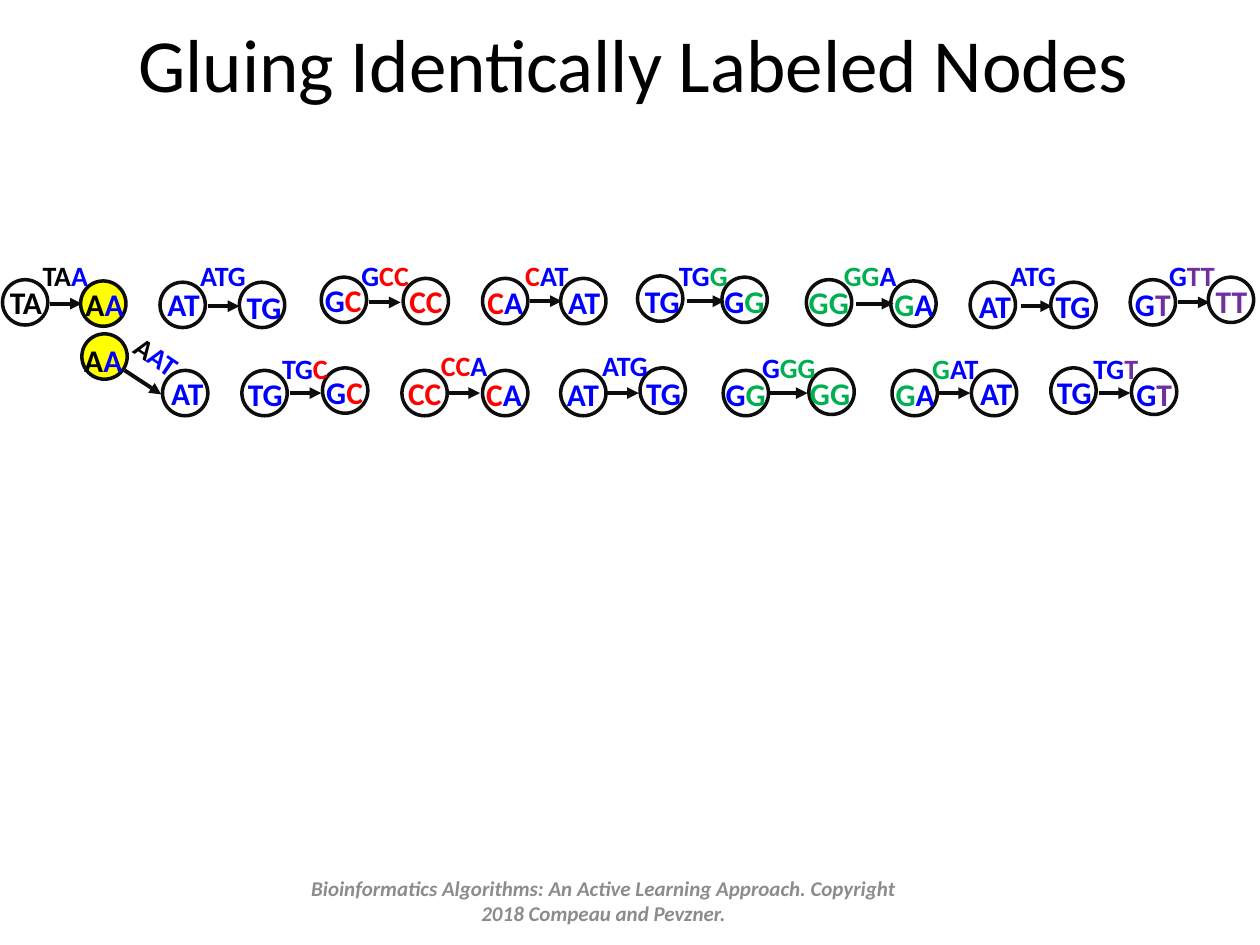
from lxml import etree
from pptx import Presentation
from pptx import util as u
from pptx.dml.color import RGBColor
from pptx.enum import shapes, text
from pptx.oxml import ns

BLACK = RGBColor(0x00, 0x00, 0x00)
INK = RGBColor(0x0D, 0x0D, 0x0D)
GREY = RGBColor(0x8C, 0x8C, 0x8C)
YELLOW = RGBColor(0xFF, 0xFF, 0x00)
HUES = {
    "k": BLACK,
    "b": RGBColor(0x00, 0x00, 0xFF),
    "r": RGBColor(0xFF, 0x00, 0x00),
    "g": RGBColor(0x00, 0xB0, 0x50),
    "p": RGBColor(0x70, 0x30, 0xA0),
}

# Letter widths in inches at node size, used to size the text boxes
LETTER_WIDTH = {"A": 0.155, "C": 0.135, "G": 0.16, "T": 0.125}
NODE_SIZE, LABEL_SIZE = 18, 16
DIAMETER = 0.36

# letters, hue of each letter, label, first circle and text,
# second circle and text, arrow start, arrow end
EDGES = [
    # Upper row
    ("TAA", "kkb", (0.24, 2), (0.02, 2.22), (-0.02, 2.2),
     (0.64, 2.23), (0.58, 2.21), (0.4, 2.41), (0.65, 2.41)),
    ("ATG", "bbb", (1.49, 2), (1.27, 2.24), (1.23, 2.21),
     (1.9, 2.24), (1.86, 2.24), (1.65, 2.43), (1.9, 2.43)),
    ("GCC", "brr", (2.77, 2), (2.55, 2.2), (2.48, 2.18),
     (3.2, 2.21), (3.15, 2.19), (2.93, 2.4), (3.18, 2.4)),
    ("CAT", "rbb", (4.07, 2), (3.83, 2.21), (3.77, 2.2),
     (4.45, 2.21), (4.41, 2.2), (4.21, 2.39), (4.46, 2.39)),
    ("TGG", "bbg", (5.29, 2), (5.06, 2.19), (5.02, 2.19),
     (5.73, 2.2), (5.65, 2.19), (5.45, 2.39), (5.75, 2.39)),
    ("GGA", "ggb", (6.6, 2), (6.4, 2.22), (6.32, 2.2),
     (7.07, 2.23), (7, 2.21), (6.79, 2.41), (7.09, 2.41)),
    ("ATG", "bbb", (7.92, 2), (7.7, 2.24), (7.67, 2.23),
     (8.34, 2.24), (8.28, 2.23), (8.1, 2.43), (8.35, 2.43)),
    ("GTT", "bpp", (9.18, 2), (8.97, 2.22), (8.91, 2.21),
     (9.59, 2.2), (9.55, 2.19), (9.35, 2.4), (9.6, 2.4)),
    # Lower row
    ("AAT", "kbb", (0.96, 2.65), (0.65, 2.65), (0.57, 2.66),
     (1.29, 2.94), (1.26, 2.92), (0.99, 2.94), (1.28, 3.13)),
    ("TGC", "bbr", (2.14, 2.74), (1.92, 2.94), (1.87, 2.93),
     (2.56, 2.92), (2.49, 2.91), (2.3, 3.12), (2.55, 3.12)),
    ("CCA", "rrb", (3.4, 2.72), (3.19, 2.94), (3.14, 2.92),
     (3.83, 2.94), (3.76, 2.93), (3.56, 3.12), (3.81, 3.12)),
    ("ATG", "bbb", (4.68, 2.72), (4.45, 2.94), (4.4, 2.93),
     (5.08, 2.92), (5.03, 2.92), (4.82, 3.12), (5.07, 3.12)),
    ("GGG", "bgg", (5.95, 2.73), (5.74, 2.94), (5.66, 2.93),
     (6.42, 2.93), (6.33, 2.92), (6.11, 3.12), (6.41, 3.12)),
    ("GAT", "gbb", (7.3, 2.74), (7.08, 2.94), (7.01, 2.93),
     (7.71, 2.94), (7.68, 2.92), (7.45, 3.12), (7.7, 3.12)),
    ("TGT", "bbp", (8.58, 2.74), (8.34, 2.92), (8.29, 2.91),
     (8.98, 2.93), (8.92, 2.93), (8.72, 3.12), (8.97, 3.12)),
]


class Painter:
    font_name = "Calibri"

    def __init__(self, page):
        self.page = page

    def style(self, font, size, color, bold=False, italic=False):
        font.name, font.size = self.font_name, u.Pt(size)
        font.bold, font.italic = bold, italic
        font.color.rgb = color

    def heading(self, words, place, size, color, **emphasis):
        box = self.page.shapes.add_textbox(*map(u.Inches, place))
        frame = box.text_frame
        frame.word_wrap = True
        frame.vertical_anchor = text.MSO_ANCHOR.MIDDLE
        frame.text = words
        para = frame.paragraphs[0]
        para.alignment = text.PP_ALIGN.CENTER
        self.style(para.runs[0].font, size, color, **emphasis)

    def letters(self, letters, hues, corner, size, angle=0):
        width = 0.2 + sum(LETTER_WIDTH[c] for c in letters) * size / NODE_SIZE
        height = 0.4 if size == NODE_SIZE else 0.37
        box = self.page.shapes.add_textbox(
            *map(u.Inches, (*corner, width, height)))
        box.rotation = angle
        frame = box.text_frame
        frame.word_wrap = False
        frame.auto_size = text.MSO_AUTO_SIZE.SHAPE_TO_FIT_TEXT
        para = frame.paragraphs[0]
        # One run for each stretch of equal hue
        for hue in dict.fromkeys(hues):
            span = para.add_run()
            span.text = "".join(c for c, h in zip(letters, hues) if h == hue)
            self.style(span.font, size, HUES[hue], bold=True)

    def node(self, letters, hues, corner, text_corner):
        circle = self.page.shapes.add_shape(
            shapes.MSO_SHAPE.OVAL,
            *map(u.Inches, (*corner, DIAMETER, DIAMETER)))
        circle.shadow.inherit = False
        circle.line.color.rgb = INK
        circle.line.width = u.Pt(2)
        if letters == "AA":
            circle.fill.solid()
            circle.fill.fore_color.rgb = YELLOW
        else:
            circle.fill.background()
        self.letters(letters, hues, text_corner, NODE_SIZE)

    def arrow(self, start, end):
        line = self.page.shapes.add_connector(
            shapes.MSO_CONNECTOR.STRAIGHT, *map(u.Inches, (*start, *end)))
        line.line.color.rgb = INK
        line.line.width = u.Pt(2.25)
        outline = line.line._get_or_add_ln()
        etree.SubElement(outline, ns.qn("a:tailEnd"), type="triangle")
        etree.SubElement(line._element.spPr, ns.qn("a:effectLst"))


def main():
    deck = Presentation()
    deck.slide_width, deck.slide_height = u.Inches(10), u.Inches(7.5)
    painter = Painter(deck.slides.add_slide(deck.slide_layouts[6]))

    # Edges: the nodes are the first two and last two letters of the label
    for (letters, hues, label, circle_1, text_1,
         circle_2, text_2, start, end) in EDGES:
        painter.arrow(start, end)
        painter.node(letters[:2], hues[:2], circle_1, text_1)
        painter.node(letters[1:], hues[1:], circle_2, text_2)
        angle = 34 if letters == "AAT" else 0
        painter.letters(letters, hues, label, LABEL_SIZE, angle)

    # Title and footer
    painter.heading("Gluing Identically Labeled Nodes",
                    (0.23, 0.08, 9.59, 0.83), 42.9, BLACK)
    painter.heading("Bioinformatics Algorithms: An Active Learning Approach. "
                    "Copyright 2018 Compeau and Pevzner.",
                    (2.25, 6.95, 5.08, 0.4), 12, GREY, bold=True, italic=True)

    deck.save("out.pptx")


if __name__ == "__main__":
    main()
